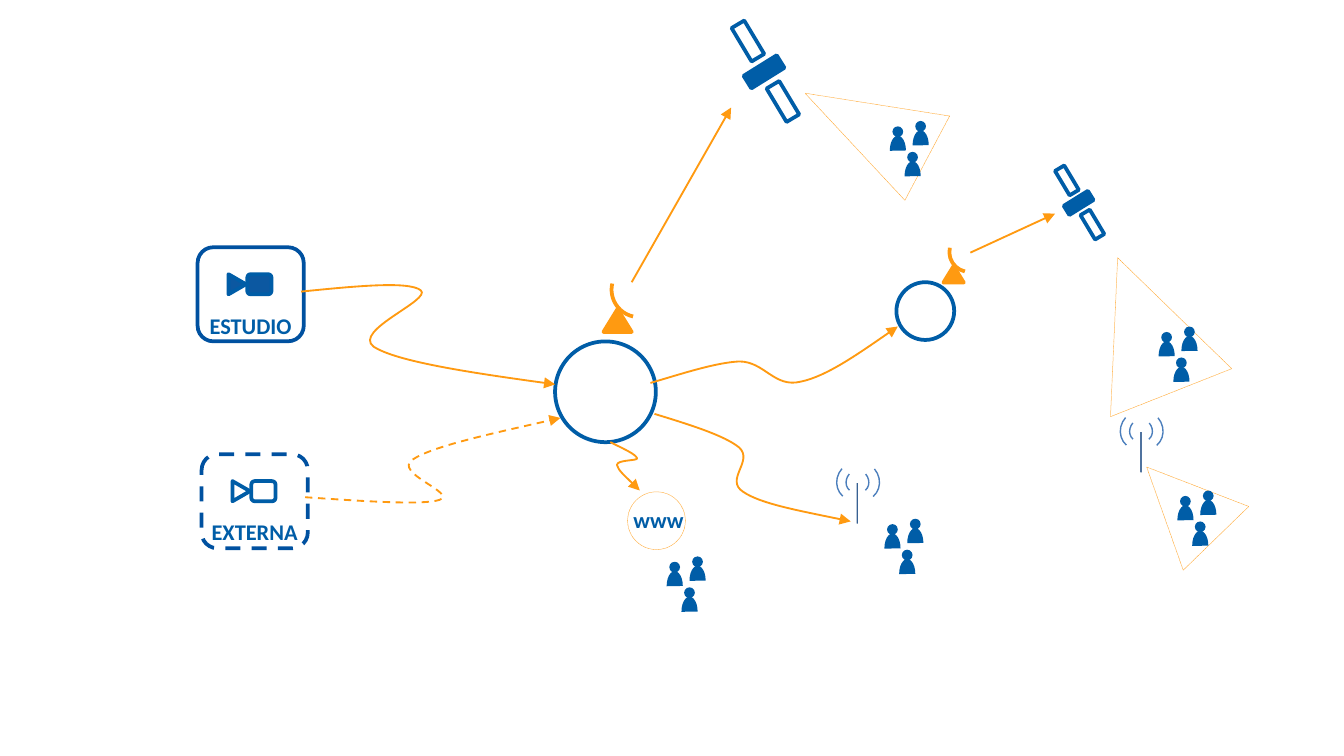
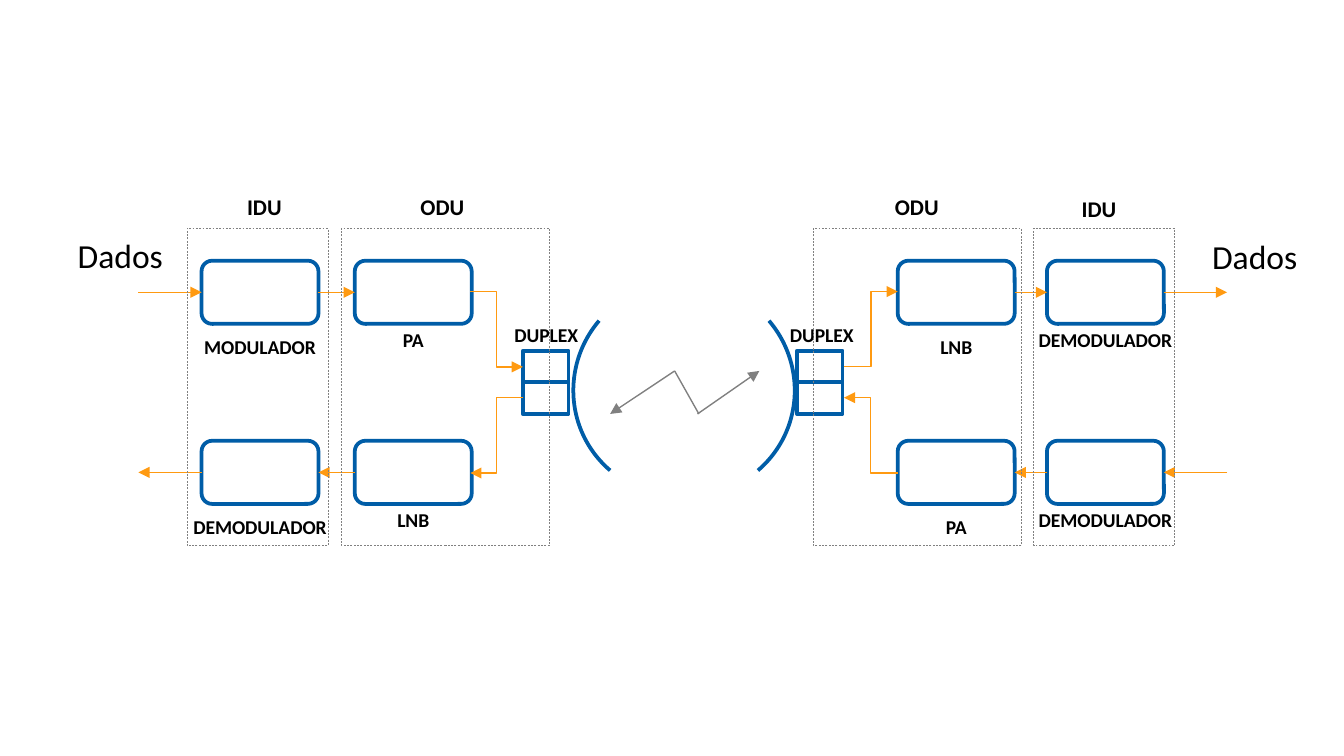
from lxml import etree
from pptx import Presentation
from pptx.dml.color import RGBColor
from pptx.enum import dml, shapes as kinds, text as txt
from pptx.oxml import ns
from pptx.util import Inches, Pt

COLOURS = {
    "blue": "005DA7", "camera": "0C58A1", "frame": "0051A0",
    "orange": "FF9A11", "mast": "376092", "wave": "4B7EBC",
    "grey": "808080", "white": "FFFFFF", "black": "000000",
}
FONT = "Calibri"
KIND = kinds.MSO_SHAPE
STRAIGHT = kinds.MSO_CONNECTOR.STRAIGHT
ELBOW = kinds.MSO_CONNECTOR.ELBOW
DASH = dml.MSO_LINE.DASH
DOTS = dml.MSO_LINE.ROUND_DOT

# Broadcast network: places in inches
CAMERAS = [  # label, left, top, icon fill, frame dash
    ("ESTUDIO", 1.47, 1.84, "camera", None),
    ("EXTERNA", 1.5, 3.38, None, DASH),
]
NODES = [(4.13, 2.54, 0.75), (6.67, 2.1, 0.43)]  # left, top, diameter
DISHES = [(4.49, 2.3, 1), (7.02, 1.98, 0.72)]  # left, top, scale
SATELLITES = [(5.54, 0.48, 1), (7.92, 1.47, 0.73)]
ANTENNAS = [(8.47, 3.19), (6.36, 3.57)]
AUDIENCES = [(8.81, 2.43), (6.77, 3.86), (6.81, 0.9), (8.95, 3.65), (5.15, 4.14)]
COVERAGES = [  # left, top, width, height, rotation
    (8.03, 1.88, 0.97, 1.08, 338.4),
    (6.09, 0.42, 0.71, 1.03, 298),
    (8.45, 3.37, 0.68, 0.74, 315.8),
]
UPLINKS = [(4.7, 2.1, 5.44, 0.8), (7.22, 1.88, 7.85, 1.59)]
FEEDS = [  # dash, start followed by Bézier triples
    (None, [(2.24, 2.17), (2.64, 2.13), (3.04, 2.09), (3.13, 2.16), (3.22, 2.23),
            (2.62, 2.46), (2.78, 2.58), (2.95, 2.69), (3.54, 2.78), (4.13, 2.86)]),
    (DASH, [(2.27, 3.7), (2.71, 3.73), (3.14, 3.76), (3.27, 3.72), (3.41, 3.67),
            (2.92, 3.52), (3.07, 3.42), (3.22, 3.32), (3.69, 3.22), (4.17, 3.11)]),
    (None, [(4.84, 2.85), (5.08, 2.78), (5.32, 2.7), (5.5, 2.69), (5.69, 2.69),
            (5.76, 2.89), (5.96, 2.84), (6.15, 2.8), (6.42, 2.61), (6.68, 2.43)]),
    (None, [(4.87, 3.08), (5.13, 3.16), (5.39, 3.24), (5.5, 3.33), (5.61, 3.43),
            (5.39, 3.57), (5.53, 3.66), (5.66, 3.75), (6, 3.81), (6.33, 3.88)]),
    (None, [(4.54, 3.29), (4.64, 3.34), (4.73, 3.38), (4.74, 3.41), (4.75, 3.43),
            (4.59, 3.42), (4.59, 3.46), (4.6, 3.5), (4.68, 3.57), (4.76, 3.65)]),
]

# Satellite link: block diagram
COLUMNS = [1.5, 2.64, 6.68, 7.79]
ROWS = [
    (1.94, ["MODULADOR", "PA", "LNB", "DEMODULADOR"]),
    (3.28, ["DEMODULADOR", "LNB", "PA", "DEMODULADOR"]),
]
LABEL_DROPS = [0.5, 0.45, 0.5, 0.45]
BLOCK_W, BLOCK_H = 0.87, 0.47
HOPS = [(1.03, 1.5), (2.37, 2.64), (7.55, 7.79), (8.66, 9.13)]
BENDS = [
    (3.5, 2.17, 3.89, 2.73), (6.28, 2.73, 6.68, 2.17),
    (3.89, 2.96, 3.5, 3.52), (6.68, 3.52, 6.28, 2.96),
]
REFLECTORS = [(4.27, 220.4, False), (4.34, 139.6, True)]  # left, rotation, flip
DUPLEXERS = [(3.89, 3.7), (5.93, 5.75)]  # box left, label left
UNITS = [  # label, label left, label top, label width, frame left, frame width
    ("IDU", 1.74, 1.39, 0.46, 1.39, 1.05),
    ("ODU", 3.03, 1.39, 0.53, 2.54, 1.55),
    ("ODU", 6.56, 1.39, 0.53, 6.05, 1.55),
    ("IDU", 7.95, 1.4, 0.46, 7.69, 1.05),
]
DATA_LABELS = [(0.48, 1.7), (8.92, 1.71)]
RADIO_WAVE = [  # segment, arrow end
    ((5.02, 2.76, 4.54, 3.08), True),
    ((5.02, 2.76, 5.2, 3.08), False),
    ((5.19, 3.08, 5.65, 2.76), True),
]


def rgb(name):
    return RGBColor.from_string(COLOURS[name])


def style_line(line, colour, width, dash=None, arrow=False):
    line.color.rgb = rgb(colour)
    line.width = Pt(width)
    if dash:
        line.dash_style = dash
    if arrow:
        ln = line._get_or_add_ln()
        etree.SubElement(ln, ns.qn("a:tailEnd"), type="triangle")


def put(area, kind, x, y, w, h, fill=None, line=None, width=2, dash=None,
        turn=0, flip=False):
    shape = area.add_shape(kind, Inches(x), Inches(y), Inches(w), Inches(h))
    shape.shadow.inherit = False
    shape.rotation = turn
    if flip:
        shape._element.spPr.xfrm.set("flipH", "1")
    if fill:
        shape.fill.solid()
        shape.fill.fore_color.rgb = rgb(fill)
    else:
        shape.fill.background()
    if line:
        style_line(shape.line, line, width, dash)
    else:
        shape.line.fill.background()
    return shape


def write(area, words, x, y, w, h, size, colour="black", bold=True,
          align=txt.PP_ALIGN.CENTER, wrap=False):
    frame = area.add_textbox(Inches(x), Inches(y), Inches(w), Inches(h)).text_frame
    frame.word_wrap = wrap
    frame.auto_size = txt.MSO_AUTO_SIZE.SHAPE_TO_FIT_TEXT
    paragraph = frame.paragraphs[0]
    paragraph.alignment = align
    run = paragraph.add_run()
    run.text = words
    run.font.name = FONT
    run.font.size = Pt(size)
    run.font.bold = bold
    run.font.color.rgb = rgb(colour)


def connect(area, ends, colour="orange", width=0.75, kind=STRAIGHT, arrow=True):
    link = area.add_connector(kind, *[Inches(v) for v in ends])
    style_line(link.line, colour, width, arrow=arrow)
    etree.SubElement(link._element.spPr, ns.qn("a:effectLst"))


def curve(area, points, dash):
    start, *rest = [(Inches(x), Inches(y)) for x, y in points]
    builder = area.build_freeform(*start)
    builder.add_line_segments(rest, close=False)
    feed = builder.convert_to_shape()
    feed.shadow.inherit = False
    feed.fill.background()
    style_line(feed.line, "orange", 1, dash, arrow=True)
    # Each three straight segments become one Bézier segment
    segments = list(feed._element.iter(ns.qn("a:lnTo")))
    outline = segments[0].getparent()
    for i in range(0, len(segments), 3):
        bezier = etree.SubElement(outline, ns.qn("a:cubicBezTo"))
        for segment in segments[i:i + 3]:
            bezier.append(segment[0])
            outline.remove(segment)


def camera(area, label, x, y, fill, dash):
    put(area, KIND.ISOSCELES_TRIANGLE, x + 0.22, y + 0.21, 0.15, 0.13, fill, "blue", turn=90)
    put(area, KIND.ROUNDED_RECTANGLE, x + 0.37, y + 0.2, 0.18, 0.15, fill, "blue")
    put(area, KIND.ROUNDED_RECTANGLE, x, y, 0.79, 0.7, None, "frame", dash=dash)
    write(area, label, x - 0.04, y + 0.43, 0.87, 0.3, 12, "blue")


def dish(area, x, y, scale):
    put(area, KIND.ISOSCELES_TRIANGLE, x, y, 0.21 * scale, 0.17 * scale, "orange", "orange")
    put(area, KIND.ARC, x + 0.06 * scale, y - 0.35 * scale, 0.41 * scale, 0.41 * scale,
        None, "orange", turn=192.7)


def satellite(area, x, y, scale):
    parts = [(0, 0, "blue", 328.1), (-0.12, -0.23, "white", 239.1), (0.14, 0.22, "white", 239.1)]
    for dx, dy, fill, turn in parts:
        put(area, KIND.RECTANGLE, x + dx * scale, y + dy * scale, 0.29 * scale, 0.11 * scale,
            fill, "blue", turn=turn)


def antenna(area, x, y):
    put(area, KIND.CAN, x, y, 0.04, 0.34, "mast", "white")
    for turn, flip, outer in [(49.6, False, -0.11), (311.3, True, -0.14)]:
        for dx, dy, w, h in [(-0.07, -0.07, 0.18, 0.16), (outer, -0.13, 0.3, 0.28)]:
            put(area, KIND.ARC, x + dx, y + dy, w, h, None, "wave", 0.75, turn=turn, flip=flip)


def audience(area, x, y):
    for dx, dy in [(0, 0), (-0.17, 0.04), (-0.06, 0.23)]:
        put(area, KIND.OVAL, x + dx, y + dy, 0.08, 0.08, "blue")
        body = put(area, KIND.CHORD, x + dx - 0.07, y + dy + 0.12, 0.22, 0.12, "blue", turn=90)
        body.adjustments[0] = 52.583
        body.adjustments[1] = 162


def build_network(slide):
    area = slide.shapes
    for x, y, size in NODES:
        put(area, KIND.OVAL, x, y, size, size, None, "blue")
    for x, y, w, h, turn in COVERAGES:
        put(area, KIND.ISOSCELES_TRIANGLE, x, y, w, h, None, "orange", 0.25, DOTS, turn)
    # Every icon is one group
    for draw, places in [(camera, CAMERAS), (dish, DISHES), (satellite, SATELLITES),
                         (antenna, ANTENNAS), (audience, AUDIENCES)]:
        for place in places:
            draw(area.add_group_shape().shapes, *place)
    # Web outlet
    put(area, KIND.OVAL, 4.67, 3.66, 0.43, 0.43, None, "orange", 0.25, DOTS)
    write(area, "www", 4.61, 3.72, 0.58, 0.3, 12, "blue")
    for dash, points in FEEDS:
        curve(area, points, dash)
    for ends in UPLINKS:
        connect(area, ends, width=1)


def build_link(slide):
    area = slide.shapes
    left = txt.PP_ALIGN.LEFT
    for x, turn, flip in REFLECTORS:
        put(area, KIND.ARC, x, 2.1, 1.57, 1.59, "white", "blue", turn=turn, flip=flip)
    # Blocks with their labels
    for y, names in ROWS:
        for x, name, drop in zip(COLUMNS, names, LABEL_DROPS):
            put(area, KIND.ROUNDED_RECTANGLE, x, y, BLOCK_W, BLOCK_H, "white", "blue")
            write(area, name, x + BLOCK_W / 2 - 0.61, y + drop, 1.22, 0.28, 10.5)
    for x, label_x in DUPLEXERS:
        for y in (2.61, 2.84):
            put(area, KIND.RECTANGLE, x, y, 0.34, 0.24, "white", "blue")
        write(area, "DUPLEX", label_x, 2.35, 0.73, 0.28, 10.5, wrap=True)
    # Signal path: the upper lane runs right, the lower one left
    upper, lower = [y + BLOCK_H / 2 for y, names in ROWS]
    for x1, x2 in HOPS:
        connect(area, (x1, upper, x2, upper))
        connect(area, (x2, lower, x1, lower))
    for ends in BENDS:
        connect(area, ends, kind=ELBOW)
    wave = area.add_group_shape().shapes
    for ends, arrow in RADIO_WAVE:
        connect(wave, ends, "grey", arrow=arrow)
    # Indoor and outdoor units
    for name, x, y, w, frame_x, frame_w in UNITS:
        put(area, KIND.RECTANGLE, frame_x, 1.7, frame_w, 2.36, None, "grey", 0.25, DASH)
        write(area, name, x, y, w, 0.3, 12, align=left)
    for x, y in DATA_LABELS:
        write(area, "Dados", x, y, 0.84, 0.4, 18, bold=False, align=left)


def main():
    deck = Presentation()
    deck.slide_width = Inches(10)
    deck.slide_height = deck.slide_width * 9 // 16
    blank = deck.slide_layouts[6]
    for build in (build_network, build_link):
        build(deck.slides.add_slide(blank))
    deck.save("out.pptx")


if __name__ == "__main__":
    main()
